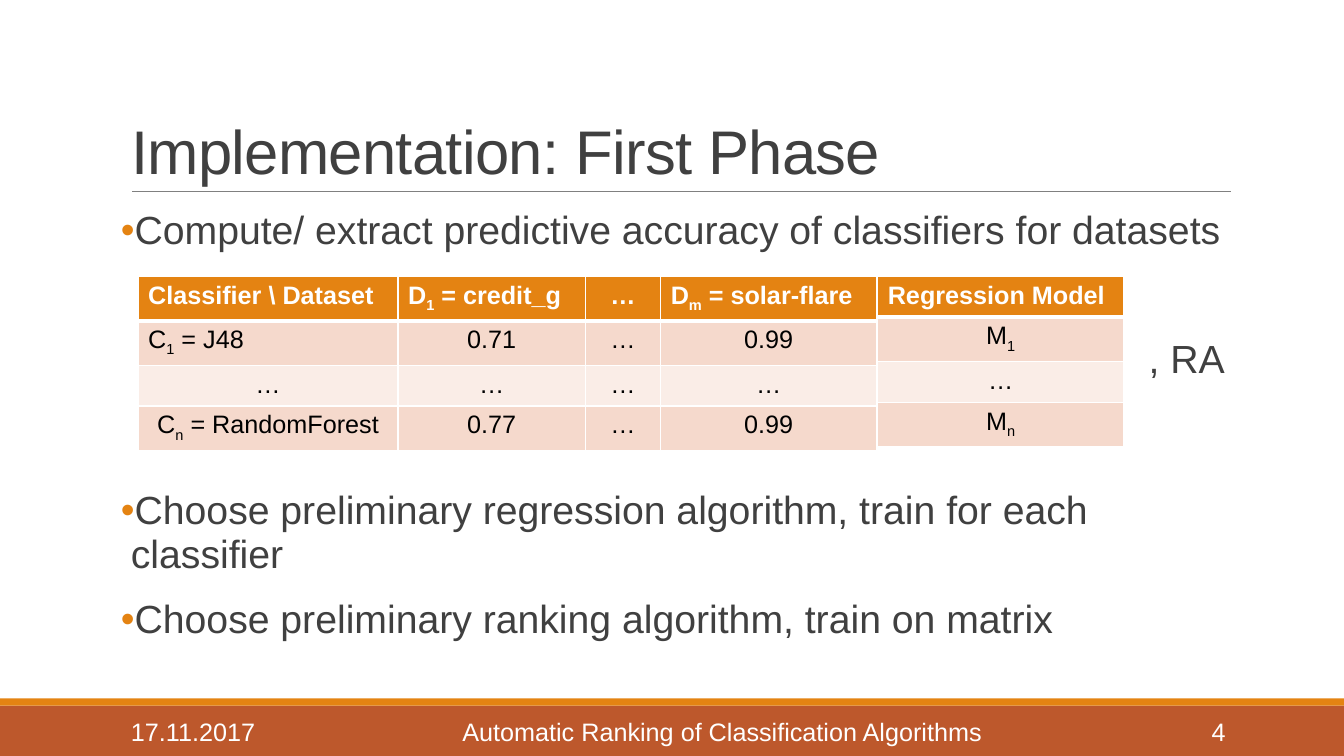
"""Build the slide on the first implementation phase of the ranking project."""
from dataclasses import dataclass

from lxml import etree
from pptx import Presentation
from pptx import util as u
from pptx.dml.color import RGBColor
from pptx.enum import shapes, text
from pptx.oxml.ns import qn

LEFT, CENTER, RIGHT = text.PP_ALIGN.LEFT, text.PP_ALIGN.CENTER, text.PP_ALIGN.RIGHT
TOP, MIDDLE, BOTTOM = text.MSO_ANCHOR.TOP, text.MSO_ANCHOR.MIDDLE, text.MSO_ANCHOR.BOTTOM


@dataclass(frozen=True)
class Theme:
    font: str = "Arial"
    orange: str = "E48312"
    rust: str = "BD582C"
    ink: str = "404040"
    black: str = "000000"
    white: str = "FFFFFF"
    rule: str = "808080"
    bands: tuple[str, str] = ("F5D9CC", "FAEDE7")
    title: int = 44
    body: int = 28
    small: int = 18


@dataclass(frozen=True)
class Box:
    left: float
    top: float
    width: float
    height: float

    def emu(self) -> tuple:
        return tuple(u.Cm(v) for v in (self.left, self.top, self.width, self.height))


@dataclass(frozen=True)
class Bar:
    box: Box
    color: str


@dataclass(frozen=True)
class Label:
    text: str
    box: Box
    size: int
    color: str
    align: text.PP_ALIGN = LEFT
    anchor: text.MSO_ANCHOR = MIDDLE
    wrap: bool = True


@dataclass(frozen=True)
class Bullet:
    text: str
    before: int = 12


@dataclass(frozen=True)
class Grid:
    left: float
    widths: tuple[float, ...]
    rows: tuple[tuple[str, ...], ...]
    left_cells: tuple[tuple[int, int], ...]


T = Theme()
TABLE_TOP, ROW_HEIGHT = 6.96, 1.03
TITLE_BOX = Box(3.05, 0.79, 27.94, 4.04)
BODY_BOX = Box(3.05, 5.13, 27.94, 11.18)
BARS = (
    Bar(Box(0, 17.78, 33.87, 1.27), T.rust),
    Bar(Box(0, 17.6, 33.87, 0.18), T.orange),
)
LABELS = (
    Label("17.11.2017", Box(3.05, 17.93, 4.04, 1.02), T.small, T.white),
    Label("Automatic Ranking of Classification Algorithms",
          Box(7.09, 17.93, 22.22, 1.02), T.small, T.white, CENTER),
    Label("4", Box(29.31, 17.93, 1.83, 1.02), T.small, T.white, RIGHT),
    Label(", RA", Box(28.7, 8.31, 2.44, 1.45), T.body, T.ink, anchor=TOP, wrap=False),
)
BULLETS = (
    Bullet("Compute/ extract predictive accuracy of classifiers for datasets"),
    Bullet("Choose preliminary regression algorithm, train for each classifier", 166),
    Bullet("Choose preliminary ranking algorithm, train on matrix"),
)
GRIDS = (
    Grid(3.48, (6.55, 4.72, 1.9, 5.44), (
        ("Classifier \\ Dataset", "D~1~ = credit_g", "…", "D~m~ = solar-flare"),
        ("C~1~ = J48", "0.71", "…", "0.99"),
        ("…", "…", "…", "…"),
        ("C~n~ = RandomForest", "0.77", "…", "0.99"),
    ), ((0, 0), (0, 1), (0, 3), (1, 0))),
    Grid(22.12, (6.2,), (("Regression Model",), ("M~1~",), ("…",), ("M~n~",)), ((0, 0),)),
)


def write(p, content: str, *, size: int, color: str, bold: bool = False,
          align: text.PP_ALIGN = LEFT, spacing: int = 0) -> None:
    """Write runs into a paragraph, lowering the parts between tildes."""
    p.alignment = align
    for i, part in enumerate(content.split("~")):
        if not part:
            continue
        r = p.add_run()
        r.text = part
        r.font.name, r.font.size, r.font.bold = T.font, u.Pt(size), bold
        r.font.color.rgb = RGBColor.from_string(color)
        rpr = r._r.get_or_add_rPr()
        if i % 2:
            rpr.set("baseline", "-25000")
        if spacing:
            rpr.set("spc", str(spacing))


def add_title(s, content: str) -> None:
    """Place and format the title placeholder."""
    sp = s.shapes.title
    sp.left, sp.top, sp.width, sp.height = TITLE_BOX.emu()
    tf = sp.text_frame
    tf.auto_size, tf.vertical_anchor = text.MSO_AUTO_SIZE.NONE, BOTTOM
    p = tf.paragraphs[0]
    p.line_spacing = 0.85
    write(p, content, size=T.title, color=T.ink, spacing=-50)


def add_bar(s, bar: Bar) -> None:
    """Draw a plain filled rectangle."""
    sp = s.shapes.add_shape(shapes.MSO_SHAPE.RECTANGLE, *bar.box.emu())
    sp.shadow.inherit = False
    sp.fill.solid()
    sp.fill.fore_color.rgb = RGBColor.from_string(bar.color)
    sp.line.fill.background()


def add_rule(s) -> None:
    """Draw the thin line under the title."""
    y = u.Cm(4.83)
    cx = s.shapes.add_connector(shapes.MSO_CONNECTOR.STRAIGHT, u.Cm(3.33), y, u.Cm(31.01), y)
    cx.line.color.rgb = RGBColor.from_string(T.rule)
    cx.line.width = u.Pt(0.5)
    etree.SubElement(cx._element.spPr, qn("a:effectLst"))


def add_label(s, label: Label) -> None:
    """Add a one-line text box."""
    tf = s.shapes.add_textbox(*label.box.emu()).text_frame
    tf.word_wrap, tf.vertical_anchor = label.wrap, label.anchor
    write(tf.paragraphs[0], label.text, size=label.size, color=label.color, align=label.align)


def add_bullets(s, bullets: tuple[Bullet, ...]) -> None:
    """Add the bulleted body text."""
    tf = s.shapes.add_textbox(*BODY_BOX.emu()).text_frame
    tf.word_wrap = True
    tf.margin_left = tf.margin_right = 0
    for i, bullet in enumerate(bullets):
        p = tf.add_paragraph() if i else tf.paragraphs[0]
        p.line_spacing, p.space_before, p.space_after = 0.95, u.Pt(bullet.before), u.Pt(2)
        write(p, bullet.text, size=T.body, color=T.ink)
        ppr = p._p.get_or_add_pPr()
        ppr.set("marL", str(u.Cm(0.25)))
        ppr.set("indent", str(-u.Cm(0.25)))
        color = etree.SubElement(ppr, qn("a:buClr"))
        etree.SubElement(color, qn("a:srgbClr"), val=T.orange)
        etree.SubElement(ppr, qn("a:buFont"), typeface=T.font)
        etree.SubElement(ppr, qn("a:buChar"), char="•")


def add_borders(cell, bottom: float, top: float) -> None:
    """Give a cell white borders."""
    tcpr = cell._tc.get_or_add_tcPr()
    for side, width in (("L", 1), ("R", 1), ("T", top), ("B", bottom)):
        ln = etree.SubElement(tcpr, qn(f"a:ln{side}"), w=str(u.Pt(width)))
        fill = etree.SubElement(ln, qn("a:solidFill"))
        etree.SubElement(fill, qn("a:srgbClr"), val=T.white)


def add_grid(s, grid: Grid) -> None:
    """Add a table with a header row and banded body rows."""
    n = len(grid.rows)
    box = Box(grid.left, TABLE_TOP, sum(grid.widths), n * ROW_HEIGHT)
    table = s.shapes.add_table(n, len(grid.widths), *box.emu()).table
    table.horz_banding = False
    for column, width in zip(table.columns, grid.widths):
        column.width = u.Cm(width)
    for i, row in enumerate(grid.rows):
        table.rows[i].height = u.Cm(ROW_HEIGHT)
        head = i == 0
        for j, content in enumerate(row):
            cell = table.cell(i, j)
            add_borders(cell, bottom=3 if head else 1, top=3 if i == 1 else 1)
            cell.fill.solid()
            color = T.orange if head else T.bands[(i - 1) % 2]
            cell.fill.fore_color.rgb = RGBColor.from_string(color)
            write(cell.text_frame.paragraphs[0], content, size=T.small, bold=head,
                  color=T.white if head else T.black,
                  align=LEFT if (i, j) in grid.left_cells else CENTER)


def main() -> None:
    """Assemble and save the slide."""
    prs = Presentation()
    prs.slide_width, prs.slide_height = u.Cm(33.87), u.Cm(19.05)
    s = prs.slides.add_slide(prs.slide_layouts[5])
    for bar in BARS:
        add_bar(s, bar)
    add_rule(s)
    add_title(s, "Implementation: First Phase")
    add_bullets(s, BULLETS)
    for grid in GRIDS:
        add_grid(s, grid)
    for label in LABELS:
        add_label(s, label)
    prs.save("out.pptx")


if __name__ == "__main__":
    main()
